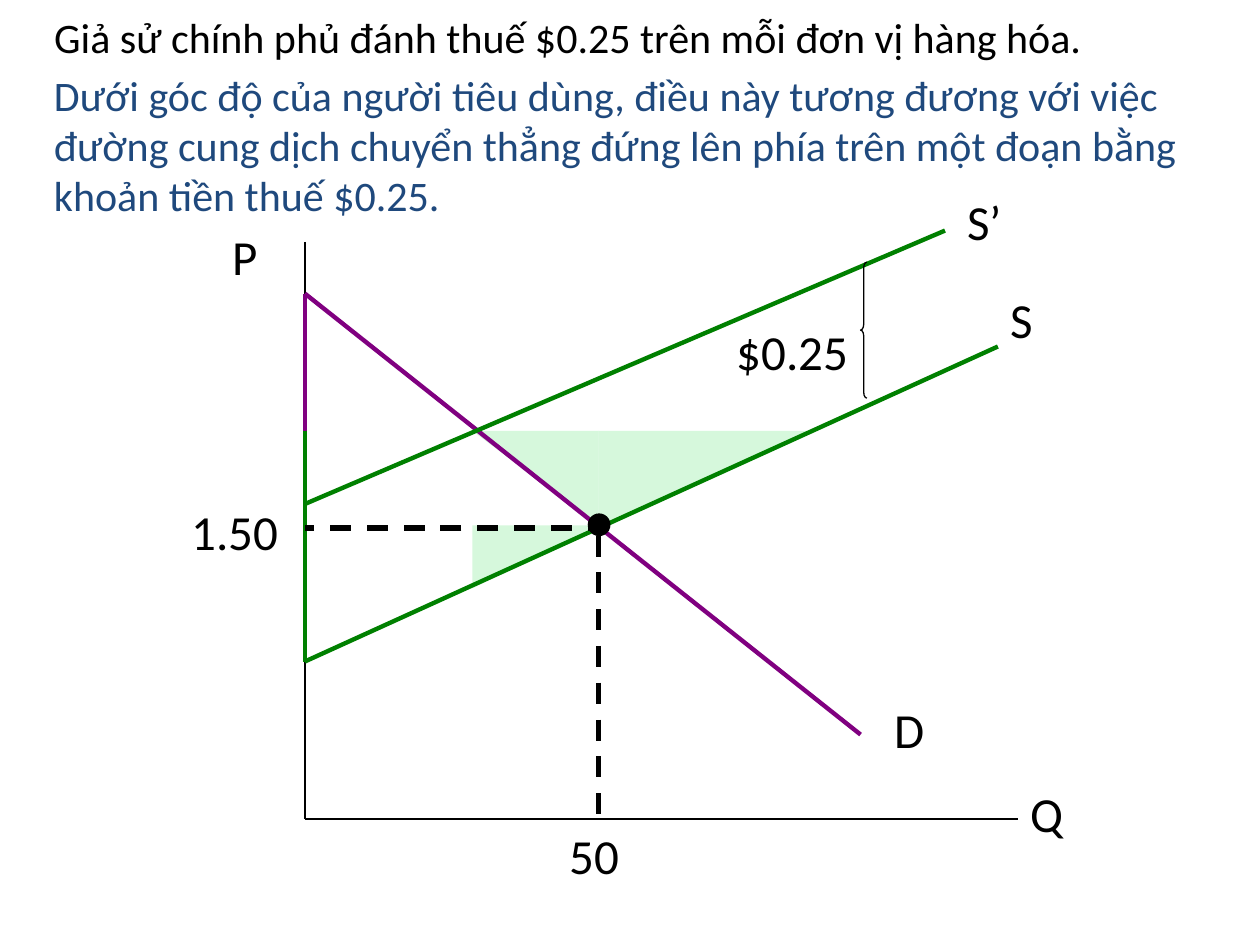
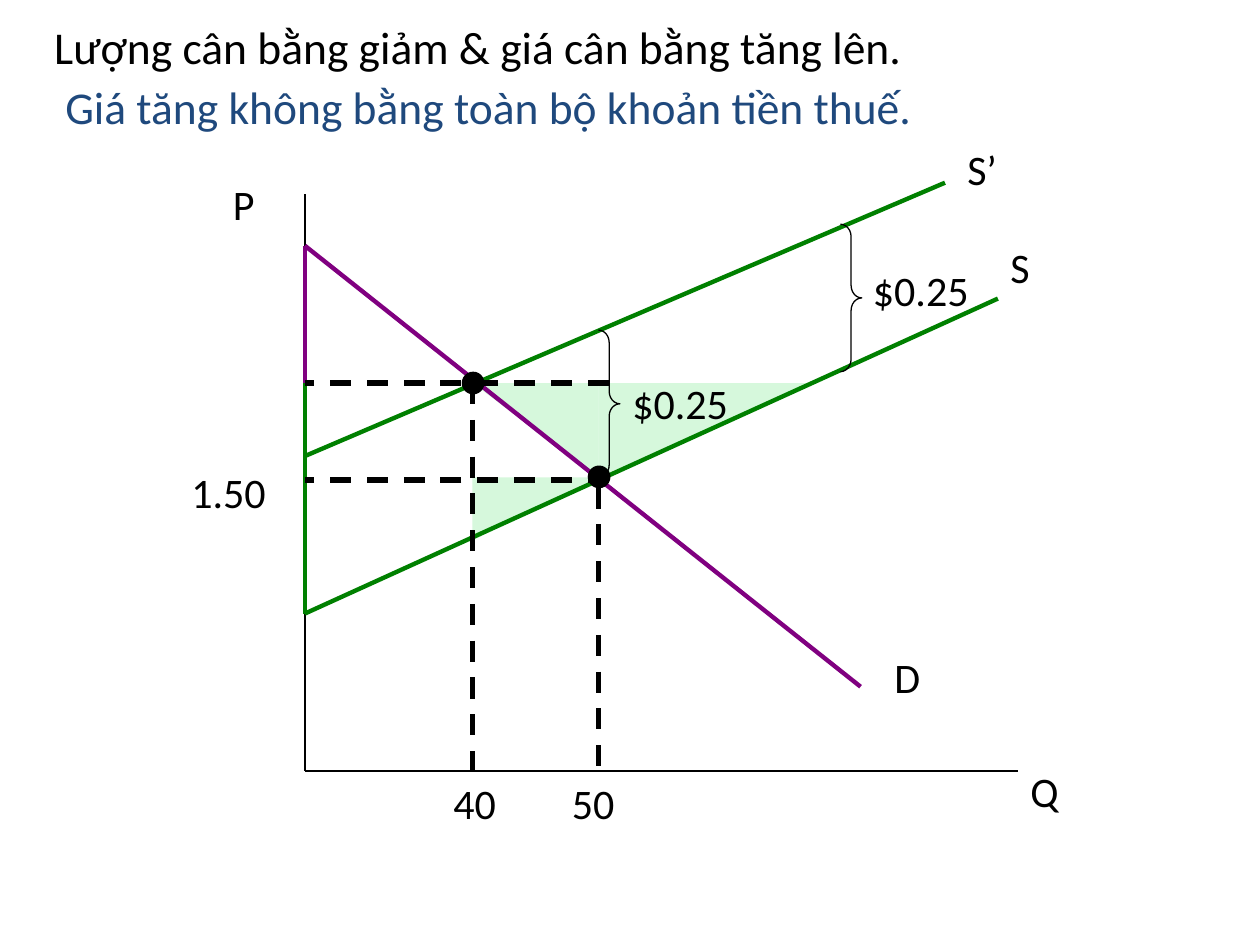
from lxml import etree
from pptx import Presentation
from pptx.dml.color import RGBColor
from pptx.enum.dml import MSO_LINE
from pptx.enum.shapes import MSO_CONNECTOR, MSO_SHAPE
from pptx.enum.text import MSO_ANCHOR, MSO_AUTO_SIZE, PP_ALIGN
from pptx.oxml.ns import qn
from pptx.util import Inches, Pt

FONT = "Calibri"
COLORS = {
    "ink": "000000",
    "note": "1F497D",
    "demand": "800080",
    "supply": "008000",
    "area": "D6F8DC",
}

# Chart geometry, measured on the first slide
AXIS_X = 2.42
BASE_Y = 6.5
TAXED_Q, TAXED_P = 3.75, 3.42
FREE_Q, FREE_P = 4.75, 4.17
DOT_SIZE = 0.17


def color(name):
    return RGBColor.from_string(COLORS[name])


def write(frame, text, size, color_name):
    frame.word_wrap = True
    frame.auto_size = MSO_AUTO_SIZE.NONE
    para = frame.paragraphs[0]
    para.alignment = PP_ALIGN.LEFT
    span = para.add_run()
    span.text = text
    span.font.name = FONT
    span.font.size = Pt(size)
    span.font.color.rgb = color(color_name)


def add_title(page, text, size, left, top, width, height):
    title = page.shapes.title
    title.left, title.top = Inches(left), Inches(top)
    title.width, title.height = Inches(width), Inches(height)
    title.text_frame.vertical_anchor = MSO_ANCHOR.MIDDLE
    write(title.text_frame, text, size, "ink")


def add_text(page, text, size, left, top, width, height=0.57, color_name="ink"):
    box = page.shapes.add_textbox(
        Inches(left), Inches(top), Inches(width), Inches(height))
    write(box.text_frame, text, size, color_name)


def add_line(page, start, end, color_name="ink", weight=0.75, dashed=False):
    line = page.shapes.add_connector(
        MSO_CONNECTOR.STRAIGHT, *(Inches(value) for value in (*start, *end)))
    line.line.color.rgb = color(color_name)
    line.line.width = Pt(weight)
    if dashed:
        line.line.dash_style = MSO_LINE.DASH
    etree.SubElement(line.element.spPr, qn("a:effectLst"))


def add_preset(page, kind, left, top, width, height):
    shape = page.shapes.add_shape(
        kind, Inches(left), Inches(top), Inches(width), Inches(height))
    shape.shadow.inherit = False
    return shape


def add_triangle(page, left, top, width, height, turned=False):
    triangle = add_preset(
        page, MSO_SHAPE.RIGHT_TRIANGLE, left, top, width, height)
    triangle.fill.solid()
    triangle.fill.fore_color.rgb = color("area")
    triangle.line.fill.background()
    if turned:
        triangle.rotation = 180
    else:
        triangle.element.spPr.xfrm.set("flipV", "1")


def add_brace(page, kind, left, top, width, height, curve):
    brace = add_preset(page, kind, left, top, width, height)
    brace.adjustments[0] = curve
    brace.fill.background()
    brace.line.color.rgb = color("ink")
    brace.line.width = Pt(0.75)


def add_dot(page, left, top):
    dot = add_preset(page, MSO_SHAPE.OVAL, left, top, DOT_SIZE, DOT_SIZE)
    dot.fill.solid()
    dot.fill.fore_color.rgb = color("ink")
    dot.line.color.rgb = color("ink")
    dot.line.width = Pt(0.75)


def add_market(page, rise, size):
    """Draw the supply and demand chart, raised by the given inches."""
    def line(x1, y1, x2, y2, *style):
        add_line(page, (x1, y1 - rise), (x2, y2 - rise), *style)

    # Axes and curve labels
    line(AXIS_X, 1.92, AXIS_X, BASE_Y)
    line(AXIS_X, BASE_Y, 8.08, BASE_Y)
    for text, left, top in (("S", 7.92, 2.25), ("D", 7, 5.5),
                            ("P", 1.75, 1.75), ("S’", 7.58, 1.47)):
        add_text(page, text, size, left, top - rise, 0.75)

    # Surplus edges on the price axis
    line(AXIS_X, 2.33, AXIS_X, TAXED_P, "demand", 2)
    line(AXIS_X, TAXED_P, AXIS_X, 5.25, "supply", 2)

    # Shaded areas
    gap_q, gap_p = FREE_Q - TAXED_Q, FREE_P - TAXED_P
    add_triangle(page, TAXED_Q, TAXED_P - rise, gap_q, gap_p, turned=True)
    add_triangle(page, TAXED_Q, FREE_P - rise, gap_q, 0.5)
    add_triangle(page, FREE_Q, TAXED_P - rise, 1.67, gap_p)

    # Demand, supply and supply with tax
    line(AXIS_X, 2.33, 6.83, 5.83, "demand", 2.5)
    line(AXIS_X, 5.25, 7.92, 2.75, "supply", 2.5)
    line(AXIS_X, 4, 7.5, 1.83, "supply", 2.5)

    # Equilibrium before tax
    line(4.83, 4.19, AXIS_X, 4.19, "ink", 3, True)
    line(FREE_Q, 4.25, FREE_Q, 6.58, "ink", 3, True)
    add_dot(page, 4.67, 4.08 - rise)


def add_taxed_equilibrium(page, rise):
    price = TAXED_P - rise
    add_line(page, (TAXED_Q, price), (TAXED_Q, BASE_Y - rise), "ink", 3, True)
    add_line(page, (4.83, price), (AXIS_X, price), "ink", 3, True)
    add_dot(page, 3.67, price - DOT_SIZE / 2)


def build_tax_slide(page):
    size = 28
    add_title(page, "Giả sử chính phủ đánh thuế $0.25 trên mỗi đơn vị hàng hóa.",
              24, 0.33, 0, 9.42, 0.58)
    add_text(page, "Dưới góc độ của người tiêu dùng, điều này tương đương với việc "
             "đường cung dịch chuyển thẳng đứng lên phía trên một đoạn bằng "
             "khoản tiền thuế $0.25.", 24, 0.33, 0.5, 9.58, 1.3, "note")
    add_market(page, 0, size)
    add_text(page, "Q", size, 8.08, 6.17, 0.75)
    add_text(page, "1.50", size, 1.42, 3.93, 1)
    add_text(page, "50", size, 4.42, 6.5, 1)
    add_brace(page, MSO_SHAPE.LEFT_BRACE, 6.83, 2.08, 0.05, 1.08, 0.9)
    add_text(page, "$0.25", size, 5.75, 2.5, 1.25)


def build_result_slide(page):
    size, rise = 24, 0.38
    add_title(page, "Lượng cân bằng giảm & giá cân bằng tăng lên.",
              26, 0.33, 0.08, 9.67, 0.58)
    add_text(page, "Giá tăng không bằng toàn bộ khoản tiền thuế.",
             26, 0.42, 0.58, 9.42, 0.54, "note")
    add_market(page, rise, size)
    add_taxed_equilibrium(page, rise)
    add_text(page, "Q", size, 8.08, 6.03, 0.75)
    add_text(page, "1.50", size, 1.42, 3.65, 1)
    for text, left in (("40", 3.5), ("50", 4.44)):
        add_text(page, text, size, left, 6.12, 0.75)
    # Tax per unit
    for left, top, label_left, label_top in ((6.67, 1.78, 6.83, 2.05),
                                             (4.75, 2.62, 4.92, 2.95)):
        add_brace(page, MSO_SHAPE.RIGHT_BRACE, left, top, 0.17, 1.17, 0.58)
        add_text(page, "$0.25", size, label_left, label_top, 1.17)


def main():
    deck = Presentation()
    deck.slide_width, deck.slide_height = Inches(10), Inches(7.5)
    title_only = deck.slide_layouts[5]
    for build in (build_tax_slide, build_result_slide):
        build(deck.slides.add_slide(title_only))
    deck.save("out.pptx")


if __name__ == "__main__":
    main()
